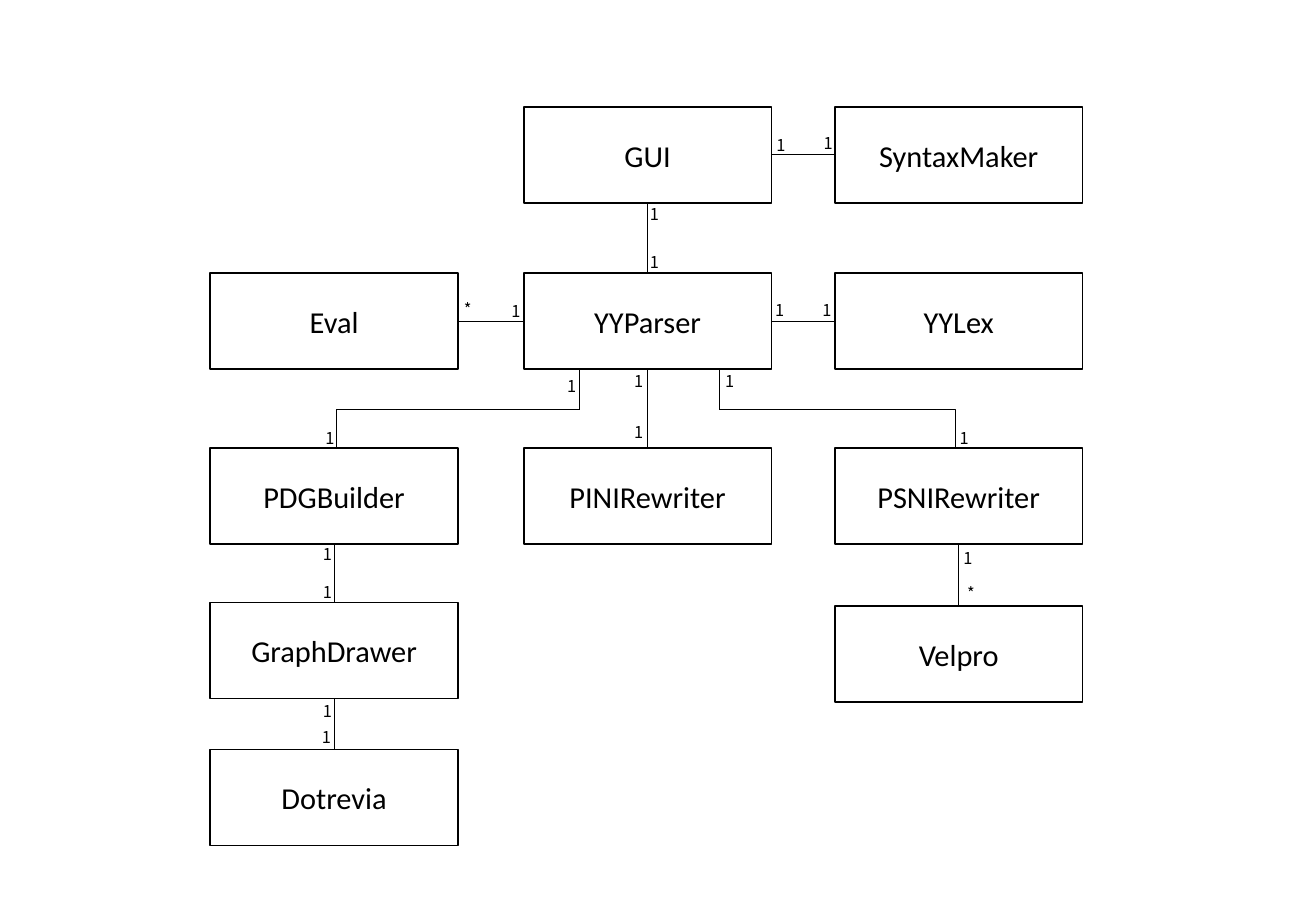
from typing import NamedTuple

from pptx import Presentation
from pptx.dml.color import RGBColor
from pptx.enum.shapes import MSO_CONNECTOR, MSO_SHAPE
from pptx.enum.text import MSO_ANCHOR, MSO_AUTO_SIZE, PP_ALIGN
from pptx.oxml.ns import qn
from pptx.oxml.xmlchemy import OxmlElement
from pptx.util import Inches, Pt

BLACK = RGBColor(0, 0, 0)
WHITE = RGBColor(255, 255, 255)
BOX_W, BOX_H = 2.04, 0.79
LABEL_W, LABEL_H = 0.27, 0.26
LEFT, MIDDLE, RIGHT = 1.73, 4.31, 6.87
TOP, PARSER, REWRITERS = 0.88, 2.25, 3.69
BUS = 3.37  # height of the horizontal branches below the parser
BOX_FONT = {"name": "Calibri", "size": Pt(18)}
LABEL_FONT = {"name": "Noto Sans CJK JP", "size": Pt(9.7)}


class Box(NamedTuple):
    name: str
    x: float
    y: float

    @property
    def cx(self) -> float:
        return self.x + BOX_W / 2

    @property
    def cy(self) -> float:
        return self.y + BOX_H / 2


class Branch(NamedTuple):
    start_x: float
    end_x: float


class Label(NamedTuple):
    x: float
    y: float
    text: str = "1"


BOXES = {b.name: b for b in (
    Box("YYParser", MIDDLE, PARSER),
    Box("GUI", MIDDLE, TOP),
    Box("SyntaxMaker", RIGHT, TOP),
    Box("Eval", LEFT, PARSER),
    Box("YYLex", RIGHT, PARSER),
    Box("PDGBuilder", LEFT, REWRITERS),
    Box("PINIRewriter", MIDDLE, REWRITERS),
    Box("PSNIRewriter", RIGHT, REWRITERS),
    Box("GraphDrawer", LEFT, 4.96),
    Box("Dotrevia", LEFT, 6.17),
    Box("Velpro", RIGHT, 4.99),
)}
# Each pair runs left to right or top to bottom
LINKS = (
    ("GUI", "YYParser"), ("GUI", "SyntaxMaker"), ("YYParser", "YYLex"),
    ("Eval", "YYParser"), ("YYParser", "PINIRewriter"),
    ("PDGBuilder", "GraphDrawer"), ("GraphDrawer", "Dotrevia"),
    ("PSNIRewriter", "Velpro"),
)
BRANCHES = (Branch(5.92, 7.86), Branch(4.77, 2.77))
LABELS = (
    Label(4.11, 2.43), Label(3.72, 2.41, "*"),        # Eval - YYParser
    Label(5.25, 2.03), Label(5.25, 1.63),             # GUI - YYParser
    Label(6.68, 1.05), Label(6.29, 1.06),             # GUI - SyntaxMaker
    Label(6.67, 2.42), Label(6.28, 2.42),             # YYParser - YYLex
    Label(4.57, 3.05), Label(2.58, 3.48),             # YYParser - PDGBuilder
    Label(2.56, 4.43), Label(2.56, 4.74),             # PDGBuilder - GraphDrawer
    Label(2.56, 5.72), Label(2.55, 5.94),             # GraphDrawer - Dotrevia
    Label(5.12, 3.01), Label(5.12, 3.43),             # YYParser - PINIRewriter
    Label(5.87, 3.01), Label(7.80, 3.48),             # YYParser - PSNIRewriter
    Label(7.83, 4.46), Label(7.86, 4.75, "*"),        # PSNIRewriter - Velpro
)

prs = Presentation()
prs.slide_width, prs.slide_height = Inches(10.83), Inches(7.5)
s = prs.slides.add_slide(prs.slide_layouts[6])


def write(tf, text: str, font: dict, align: PP_ALIGN) -> None:
    p = tf.paragraphs[0]
    p.alignment = align
    r = p.add_run()
    r.text = text
    for key, value in font.items():
        setattr(r.font, key, value)
    r.font.color.rgb = BLACK


def draw_box(box: Box) -> None:
    sp = s.shapes.add_shape(MSO_SHAPE.RECTANGLE, Inches(box.x), Inches(box.y),
                            Inches(BOX_W), Inches(BOX_H))
    sp.shadow.inherit = False
    sp.fill.solid()
    sp.fill.fore_color.rgb = WHITE
    sp.line.color.rgb = BLACK
    sp.line.width = Pt(1)
    sp.text_frame.vertical_anchor = MSO_ANCHOR.MIDDLE
    write(sp.text_frame, box.name, BOX_FONT, PP_ALIGN.CENTER)


def draw_line(x1: float, y1: float, x2: float, y2: float, bent: bool = False) -> None:
    kind = MSO_CONNECTOR.ELBOW if bent else MSO_CONNECTOR.STRAIGHT
    line = s.shapes.add_connector(kind, Inches(x1), Inches(y1), Inches(x2), Inches(y2))
    line.line.color.rgb = BLACK
    line.line.width = Pt(0.5)
    sp_pr = line._element.spPr
    sp_pr.append(OxmlElement("a:effectLst"))
    if bent:  # one corner: across, then down
        sp_pr.find(qn("a:prstGeom")).set("prst", "bentConnector2")


def draw_link(a: Box, b: Box) -> None:
    if a.x == b.x:
        draw_line(a.cx, a.y + BOX_H, b.cx, b.y)
    else:
        draw_line(a.x + BOX_W, a.cy, b.x, b.cy)


def draw_branch(branch: Branch) -> None:
    draw_line(branch.start_x, PARSER + BOX_H, branch.start_x, BUS)
    draw_line(branch.start_x, BUS, branch.end_x, REWRITERS, bent=True)


def draw_label(label: Label) -> None:
    tf = s.shapes.add_textbox(Inches(label.x), Inches(label.y),
                              Inches(LABEL_W), Inches(LABEL_H)).text_frame
    tf.word_wrap = False
    tf.auto_size = MSO_AUTO_SIZE.SHAPE_TO_FIT_TEXT
    write(tf, label.text, LABEL_FONT, PP_ALIGN.LEFT)


# Classes
for box in BOXES.values():
    draw_box(box)

# Associations
for first, second in LINKS:
    draw_link(BOXES[first], BOXES[second])
for branch in BRANCHES:
    draw_branch(branch)

# Multiplicities
for label in LABELS:
    draw_label(label)

prs.save("out.pptx")
